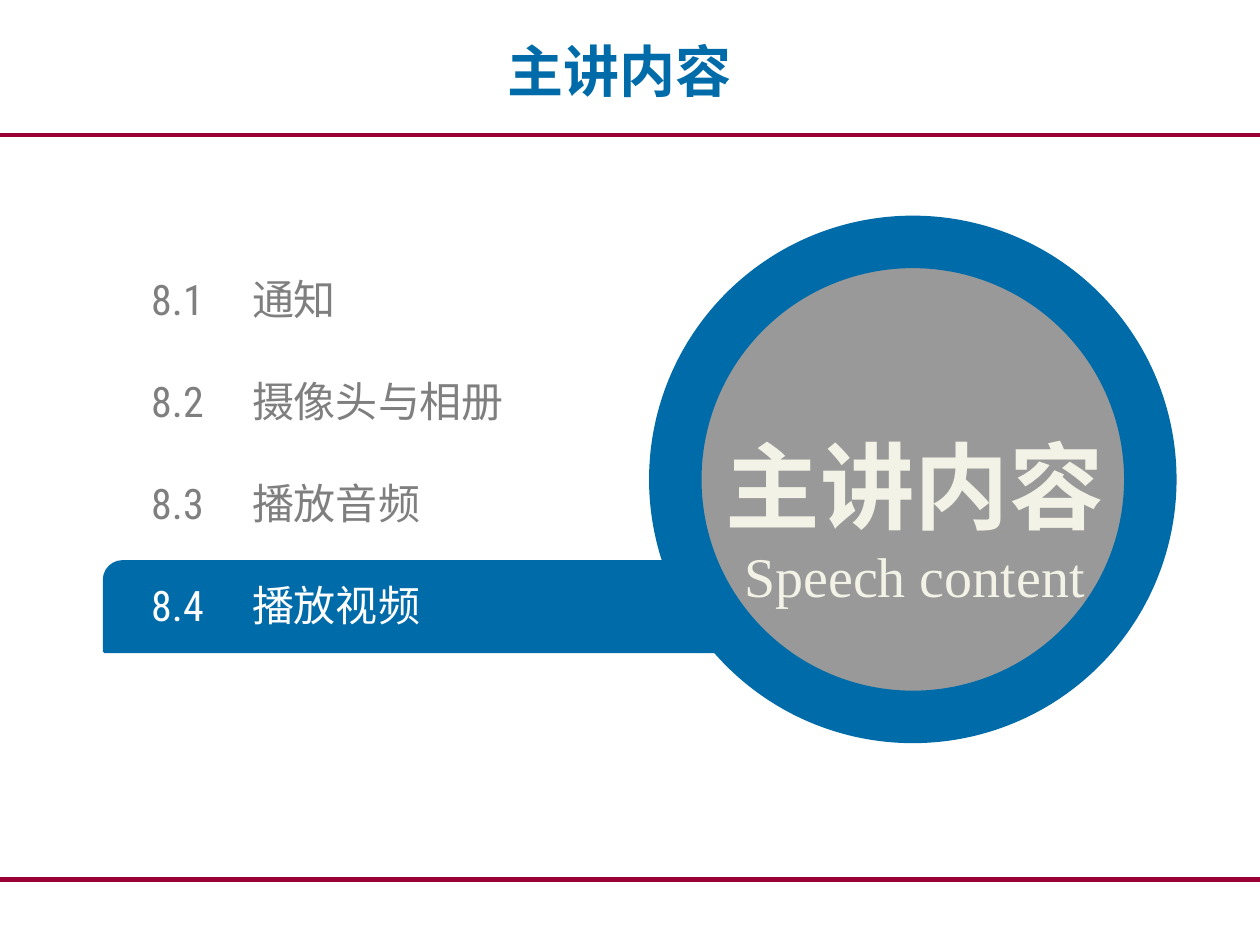
from pptx import Presentation
from pptx.dml.color import RGBColor
from pptx.enum.shapes import MSO_CONNECTOR, MSO_SHAPE
from pptx.enum.text import MSO_ANCHOR, PP_ALIGN
from pptx.oxml.ns import qn
from pptx.util import Inches, Pt
from lxml.etree import SubElement

COLORS = {
    "blue": "006BA9",
    "crimson": "990033",
    "disc": "999999",
    "muted": "7F7F7F",
    "cream": "F2F2E6",
    "white": "FFFFFF",
}
CJK_FONT = "Noto Sans CJK SC"
TOPICS = ["通知", "摄像头与相册", "播放音频", "播放视频"]
CURRENT = 4
TOPIC_TOP = 2.17
TOPIC_STEP = 0.81


def color(name):
    return RGBColor.from_string(COLORS[name])


def style_paragraph(paragraph, size, font_name, color_name, bold=False):
    font = paragraph.font
    font.size = Pt(size)
    font.bold = bold
    font.color.rgb = color(color_name)
    font.name = font_name
    defaults = paragraph._p.pPr.find(qn("a:defRPr"))
    SubElement(defaults, qn("a:ea")).set("typeface", CJK_FONT)


def add_tab_stop(paragraph, position):
    tabs = SubElement(paragraph._p.get_or_add_pPr(), qn("a:tabLst"))
    tab = SubElement(tabs, qn("a:tab"))
    tab.set("pos", str(Inches(position)))
    tab.set("algn", "l")


def add_rule(page, top, width):
    rule = page.shapes.add_connector(
        MSO_CONNECTOR.STRAIGHT, 0, Inches(top), Inches(10), Inches(top)
    )
    rule.line.color.rgb = color("crimson")
    rule.line.width = Pt(width)
    SubElement(rule._element.spPr, qn("a:effectLst"))


def add_panel(page, kind, left, top, width, height, fill, line_width):
    panel = page.shapes.add_shape(
        kind, Inches(left), Inches(top), Inches(width), Inches(height)
    )
    panel.shadow.inherit = False
    panel.fill.solid()
    panel.fill.fore_color.rgb = color(fill)
    panel.line.color.rgb = color("blue")
    panel.line.width = Pt(line_width)
    return panel


def add_text_frame(page, left, top, width, height):
    box = page.shapes.add_textbox(
        Inches(left), Inches(top), Inches(width), Inches(height)
    )
    frame = box.text_frame
    frame.word_wrap = True
    frame.vertical_anchor = MSO_ANCHOR.MIDDLE
    return frame


def set_title(page):
    title = page.shapes.title
    title.left, title.top = Inches(0.42), Inches(0.06)
    title.width, title.height = Inches(9), Inches(0.99)
    title.text_frame.vertical_anchor = MSO_ANCHOR.MIDDLE
    paragraph = title.text_frame.paragraphs[0]
    paragraph.text = "主讲内容"
    paragraph.alignment = PP_ALIGN.CENTER
    style_paragraph(paragraph, 32, CJK_FONT, "blue", bold=True)


def add_topic(page, number, topic):
    top = TOPIC_TOP + (number - 1) * TOPIC_STEP
    frame = add_text_frame(page, 1.2, top, 4.19, 0.4)
    frame.margin_left = frame.margin_right = 0
    frame.margin_top = frame.margin_bottom = 0
    paragraph = frame.paragraphs[0]
    paragraph.text = f"8.{number}\t{topic}"
    add_tab_stop(paragraph, 0.8)
    color_name = "white" if number == CURRENT else "muted"
    style_paragraph(paragraph, 24, "Roboto Condensed", color_name)


def add_disc_caption(page):
    frame = add_text_frame(page, 5.31, 2.89, 3.9, 1.99)
    heading = frame.paragraphs[0]
    heading.text = "主讲内容"
    heading.line_spacing = 1.5
    subtitle = frame.add_paragraph()
    subtitle.text = "Speech content"
    for paragraph in (heading, subtitle):
        paragraph.alignment = PP_ALIGN.CENTER
    style_paragraph(heading, 54, CJK_FONT, "cream", bold=True)
    style_paragraph(subtitle, 32, "Times New Roman", "cream")


def main():
    deck = Presentation()
    deck.slide_width, deck.slide_height = Inches(10), Inches(7.5)
    page = deck.slides.add_slide(deck.slide_layouts[5])

    add_rule(page, 6.98, 3)
    add_rule(page, 1.07, 2)
    set_title(page)

    bar = add_panel(
        page, MSO_SHAPE.ROUND_2_DIAG_RECTANGLE, 0.83, 4.46, 5.35, 0.71, "blue", 2
    )
    bar.adjustments[0] = 0.2
    for number, topic in enumerate(TOPICS, start=1):
        add_topic(page, number, topic)

    add_panel(page, MSO_SHAPE.OVAL, 5.36, 1.92, 3.77, 3.77, "disc", 30)
    add_disc_caption(page)

    deck.save("out.pptx")


if __name__ == "__main__":
    main()
